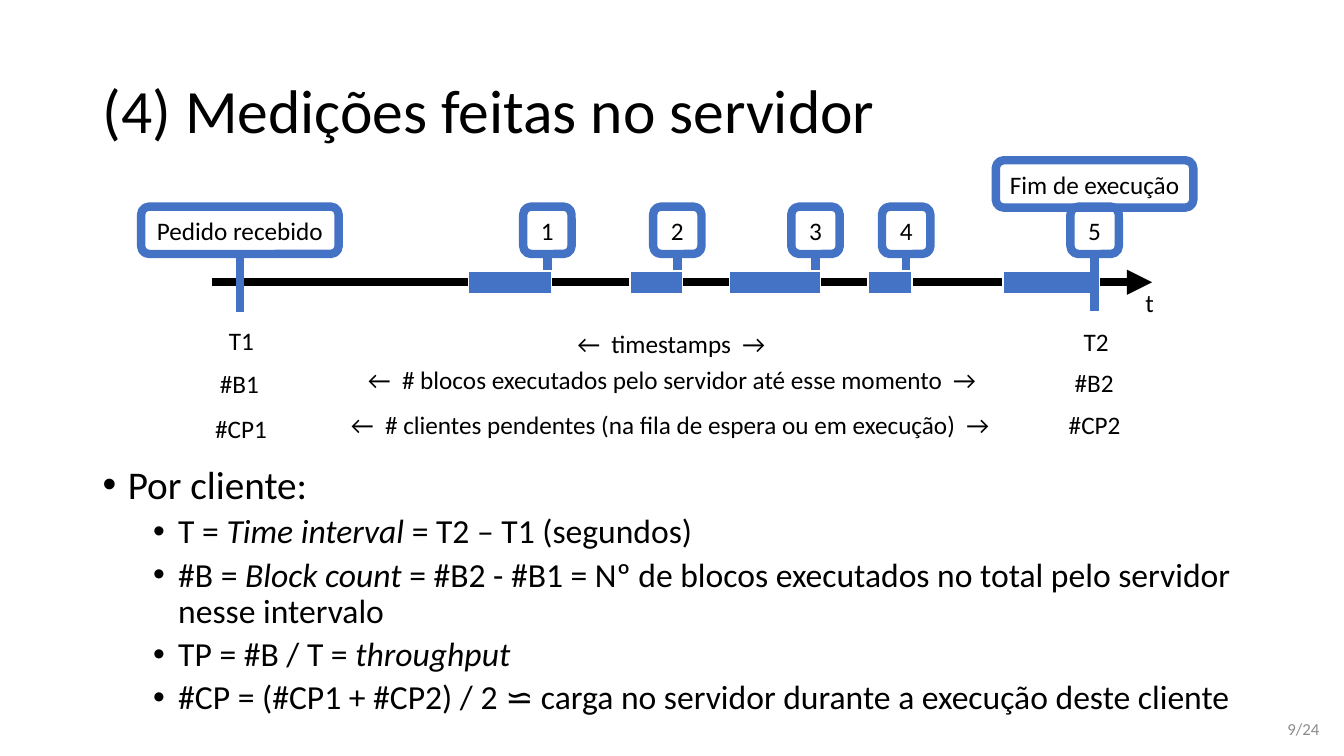
from dataclasses import dataclass

import pptx
import pptx.dml.color
import pptx.enum.shapes
import pptx.enum.text
import pptx.oxml.ns
import pptx.util
from lxml import etree

Pt = pptx.util.Pt
ALIGN = pptx.enum.text.PP_ALIGN
ANCHOR = pptx.enum.text.MSO_ANCHOR
SHAPE = pptx.enum.shapes.MSO_SHAPE


@dataclass(frozen=True)
class Theme:
    font: str = "Calibri"
    ink: str = "000000"
    accent: str = "4472C4"
    paper: str = "FFFFFF"
    muted: str = "8C8C8C"
    title: int = 44
    lead: int = 28
    detail: int = 24
    label: int = 18
    footer: int = 12
    stroke: int = 6
    hairline: int = 1


THEME = Theme()

TIMELINE_Y = 201.6
CALLOUT_TOP, CALLOUT_HEIGHT = 147.6, 33.84
CALLOUT_WIDTH, NUMBER_WIDTH = 141.12, 34.56
BLOCK_TOP, BLOCK_HEIGHT = 193.7, 15.84
LABEL_HEIGHT = 28.8
REQUEST_X, END_X = 171.4, 781.9

# number, callout centre, left and width of the executed block
BLOCKS = [
    (1, 391, 334.8, 59),
    (2, 483.8, 450, 37.4),
    (3, 582.5, 521.3, 64.8),
    (4, 647.3, 619.9, 31.7),
    (5, END_X, 716.4, 69.1),
]

# text, centre, top, width
ENDPOINT_LABELS = [
    ("T1", 172.4, 229, 32.4),
    ("#B1", 171, 259.9, 42.5),
    ("#CP1", 172.1, 291.6, 51.8),
    ("T2", 783, 229.7, 32.4),
    ("#B2", 781.6, 258.5, 42.5),
    ("#CP2", 781.9, 288.7, 51.8),
    ("t", 821.2, 201.6, 20.9),
]

# text, left, top
SPAN_LABELS = [
    ("←  timestamps  →", 230.4, 231.1),
    ("←  # blocos executados pelo servidor até esse momento  →", 231.1, 257),
    ("←  # clientes pendentes (na fila de espera ou em execução)  →", 229.7, 288.7),
]
SPAN_WIDTH = 498.2

# level, runs of (text, italic)
METRICS = [
    (0, [("Por cliente:", False)]),
    (1, [("T = ", False), ("Time interval ", True), ("= T2 – T1 (segundos)", False)]),
    (1, [("#B = ", False), ("Block count ", True),
         ("= #B2 - #B1 = Nº de blocos executados no total pelo servidor nesse intervalo", False)]),
    (1, [("TP = #B / T = ", False), ("throughput", True)]),
    (1, [("#CP = (#CP1 + #CP2) / 2 ⋍ carga no servidor durante a execução deste cliente", False)]),
]


def rgb(value):
    return pptx.dml.color.RGBColor.from_string(value)


def write(paragraph, text, *, size=THEME.label, color=THEME.ink, italic=False,
          align=None, line_spacing=None):
    """Append a formatted run to the paragraph."""
    run = paragraph.add_run()
    run.text = text
    run.font.name = THEME.font
    run.font.size = Pt(size)
    run.font.italic = italic
    run.font.color.rgb = rgb(color)
    if align is not None:
        paragraph.alignment = align
    if line_spacing is not None:
        paragraph.line_spacing = line_spacing


def add_frame(slide, left, top, width, height, *, anchor=ANCHOR.TOP, wrap=True):
    box = slide.shapes.add_textbox(Pt(left), Pt(top), Pt(width), Pt(height))
    frame = box.text_frame
    frame.word_wrap = wrap
    frame.vertical_anchor = anchor
    return frame


def add_label(slide, text, left, top, width, *, wrap=True):
    frame = add_frame(slide, left, top, width, LABEL_HEIGHT, wrap=wrap)
    write(frame.paragraphs[0], text, align=ALIGN.CENTER)


def add_line(slide, start, end, color, *, arrow=False):
    line = slide.shapes.add_connector(
        pptx.enum.shapes.MSO_CONNECTOR.STRAIGHT, *map(Pt, start + end))
    line.line.color.rgb = rgb(color)
    line.line.width = Pt(THEME.stroke)
    properties = line._element.spPr
    if arrow:
        outline = line.line._get_or_add_ln()
        etree.SubElement(outline, pptx.oxml.ns.qn("a:tailEnd"), type="triangle")
    etree.SubElement(properties, pptx.oxml.ns.qn("a:effectLst"))


def add_stem(slide, x, top, bottom):
    add_line(slide, (x, top), (x, bottom), THEME.accent)


def add_callout(slide, text, center, width, top=CALLOUT_TOP):
    callout = slide.shapes.add_shape(SHAPE.ROUNDED_RECTANGLE, Pt(center - width / 2),
                                     Pt(top), Pt(width), Pt(CALLOUT_HEIGHT))
    callout.shadow.inherit = False
    callout.fill.background()
    callout.line.color.rgb = rgb(THEME.accent)
    callout.line.width = Pt(THEME.stroke)
    callout.text_frame.vertical_anchor = ANCHOR.MIDDLE
    write(callout.text_frame.paragraphs[0], text, align=ALIGN.CENTER)


def add_block(slide, left, width):
    block = slide.shapes.add_shape(SHAPE.RECTANGLE, Pt(left), Pt(BLOCK_TOP),
                                   Pt(width), Pt(BLOCK_HEIGHT))
    block.shadow.inherit = False
    block.fill.solid()
    block.fill.fore_color.rgb = rgb(THEME.accent)
    block.line.color.rgb = rgb(THEME.paper)
    block.line.width = Pt(THEME.hairline)


def add_timeline(slide):
    add_line(slide, (151.2, TIMELINE_Y), (823, TIMELINE_Y), THEME.ink, arrow=True)
    add_stem(slide, REQUEST_X, 180, 223.2)
    add_callout(slide, "Pedido recebido", 171.4, CALLOUT_WIDTH)
    for number, center, left, width in BLOCKS:
        is_last = center == END_X
        if is_last:
            add_block(slide, left, width)
            add_callout(slide, "Fim de execução", END_X, CALLOUT_WIDTH, top=114.5)
        add_stem(slide, center, 180, 222.5 if is_last else 209.5)
        add_callout(slide, str(number), center, NUMBER_WIDTH)
        if not is_last:
            add_block(slide, left, width)


def set_bullet(paragraph, indent):
    properties = paragraph._p.get_or_add_pPr()
    properties.set("marL", str(Pt(indent)))
    properties.set("indent", str(Pt(-18)))
    etree.SubElement(properties, pptx.oxml.ns.qn("a:buFont"), typeface="Arial")
    etree.SubElement(properties, pptx.oxml.ns.qn("a:buChar"), char="•")


def add_metrics(slide):
    frame = add_frame(slide, 66.24, 329, 851.8, 200.2)
    for index, (level, runs) in enumerate(METRICS):
        paragraph = frame.add_paragraph() if index else frame.paragraphs[0]
        paragraph.level = level
        paragraph.space_before = Pt(5 if level else 10)
        for text, italic in runs:
            write(paragraph, text, size=THEME.detail if level else THEME.lead,
                  italic=italic, line_spacing=0.9)
        set_bullet(paragraph, 54 if level else 18)


def main():
    deck = pptx.Presentation()
    deck.slide_width, deck.slide_height = Pt(960), Pt(540)
    slide = deck.slides.add_slide(deck.slide_layouts[6])

    page = add_frame(slide, 887, 506.2, 62.6, 28.8, anchor=ANCHOR.MIDDLE)
    write(page.paragraphs[0], "9/24", size=THEME.footer, color=THEME.muted, align=ALIGN.RIGHT)
    title = add_frame(slide, 66.24, 28.8, 828, 104.4, anchor=ANCHOR.MIDDLE)
    write(title.paragraphs[0], "(4) Medições feitas no servidor", size=THEME.title,
          line_spacing=0.9)

    add_timeline(slide)
    for text, center, top, width in ENDPOINT_LABELS:
        add_label(slide, text, center - width / 2, top, width, wrap=False)
    add_metrics(slide)
    for text, left, top in SPAN_LABELS:
        add_label(slide, text, left, top, SPAN_WIDTH)
    deck.save("out.pptx")


if __name__ == "__main__":
    main()
